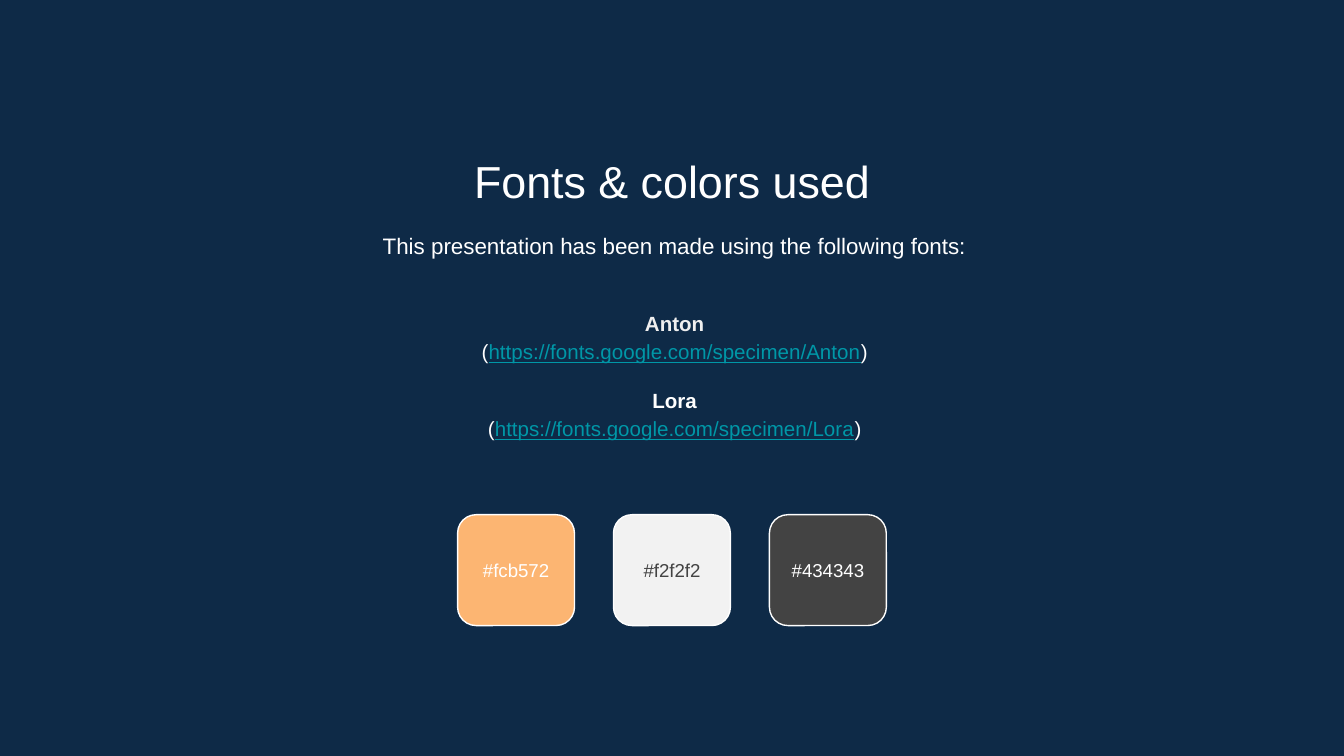
from pptx import Presentation
from pptx.dml.color import RGBColor
from pptx.enum.shapes import MSO_SHAPE
from pptx.enum.text import MSO_ANCHOR, PP_ALIGN
from pptx.util import Pt

PX = 4572  # EMU per px, 200 px to the inch
HUES = {
    "navy": "0E2A47",
    "white": "FFFFFF",
    "pale": "EFEFEF",
    "link": "0097A7",
    "peach": "FCB572",
    "light": "F2F2F2",
    "dark": "434343",
}


def hue(name):
    return RGBColor.from_string(HUES[name])


def add_run(para, text, size=12, color="white", bold=False, line=False):
    run = para.add_run()
    run.text = text
    font = run.font
    font.name = "Arial"
    font.size = Pt(size)
    font.bold = bold
    font.underline = line
    font.color.rgb = hue(color)


class Deck:
    def __init__(self, wide, high):
        self.show = Presentation()
        self.show.slide_width = wide * PX
        self.show.slide_height = high * PX
        self.slide = self.show.slides.add_slide(self.show.slide_layouts[6])
        fill = self.slide.background.fill
        fill.solid()
        fill.fore_color.rgb = hue("navy")

    def text(self, area, paras, gap=None, mid=False):
        """Each paragraph is (space before, list of (text, format))."""
        box = self.slide.shapes.add_textbox(*(n * PX for n in area))
        frame = box.text_frame
        frame.word_wrap = True
        frame.vertical_anchor = MSO_ANCHOR.MIDDLE if mid else MSO_ANCHOR.TOP
        frame.margin_left = frame.margin_right = 20 * PX
        frame.margin_top = frame.margin_bottom = 20 * PX
        for i, (space, runs) in enumerate(paras):
            para = frame.add_paragraph() if i else frame.paragraphs[0]
            para.alignment = PP_ALIGN.CENTER
            if gap:
                para.line_spacing = gap
            if space:
                para.space_before = Pt(space)
            for words, style in runs:
                add_run(para, words, **style)

    def swatch(self, area, color):
        tile = self.slide.shapes.add_shape(
            MSO_SHAPE.ROUNDED_RECTANGLE, *(n * PX for n in area))
        tile.shadow.inherit = False
        tile.fill.solid()
        tile.fill.fore_color.rgb = hue(color)
        tile.line.color.rgb = hue("white")
        tile.line.width = Pt(0.75)


def main():
    deck = Deck(2000, 1125)

    # Title and intro
    deck.text((229, 209, 1542, 106),
              [(0, [("Fonts & colors used", dict(size=24))])])
    intro = "This presentation has been made using the following fonts:"
    deck.text((233, 319, 1542, 96), [(0, [(intro, {})])], gap=1.15)

    # Font names with their links
    plain = dict(size=11)
    paras = []
    for name, color, space in (("Anton", "pale", 0), ("Lora", "white", 11)):
        url = f"https://fonts.google.com/specimen/{name}"
        paras += [
            (space, [(name, dict(size=11, color=color, bold=True))]),
            (0, [("(", plain),
                 (url, dict(size=11, color="link", line=True)),
                 (")", plain)]),
        ]
    deck.text((233, 420, 1542, 274), paras, gap=1.15, mid=True)

    # Color swatches
    tiles = (("peach", "white"), ("light", "dark"), ("dark", "white"))
    for i, (color, ink) in enumerate(tiles):
        left = 681 + 232 * i
        deck.swatch((left, 766, 174, 165), color)
        label = "#" + HUES[color].lower()
        deck.text((left, 800, 174, 96),
                  [(0, [(label, dict(size=10, color=ink))])], mid=True)

    deck.show.save("out.pptx")


if __name__ == "__main__":
    main()
